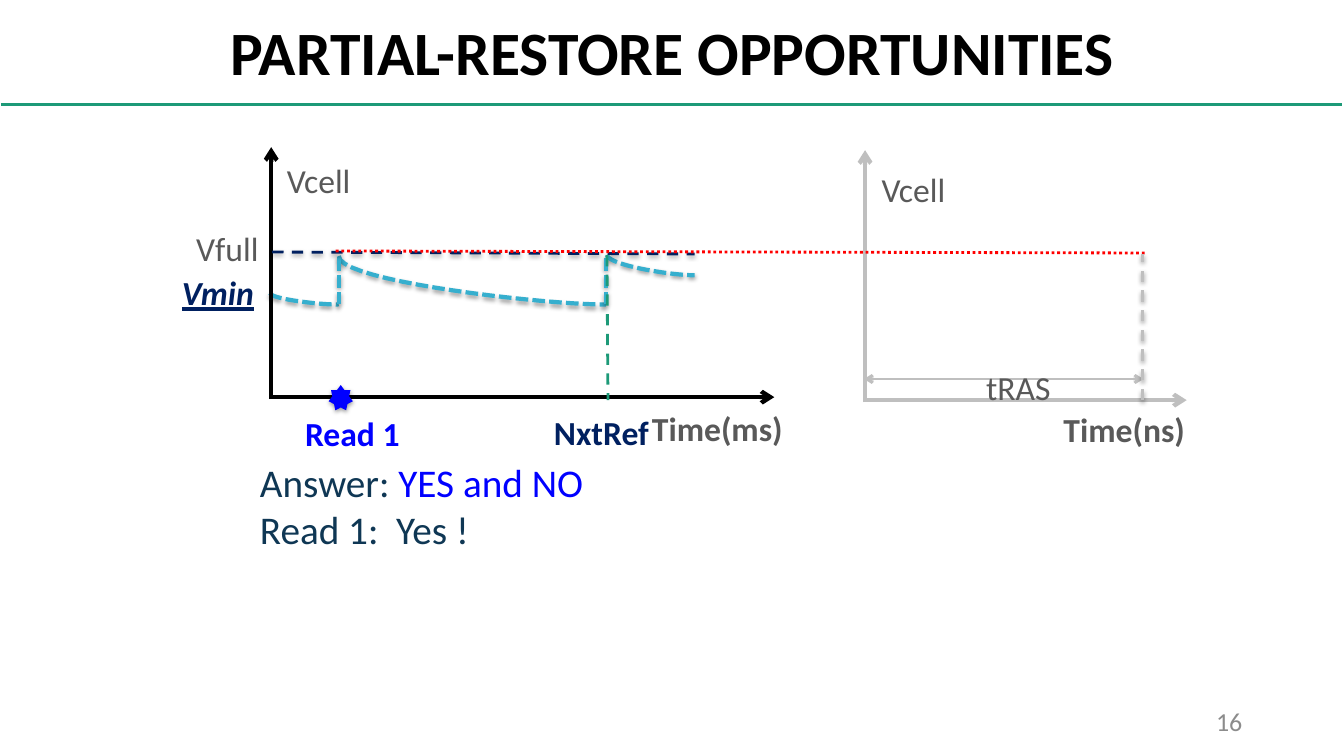
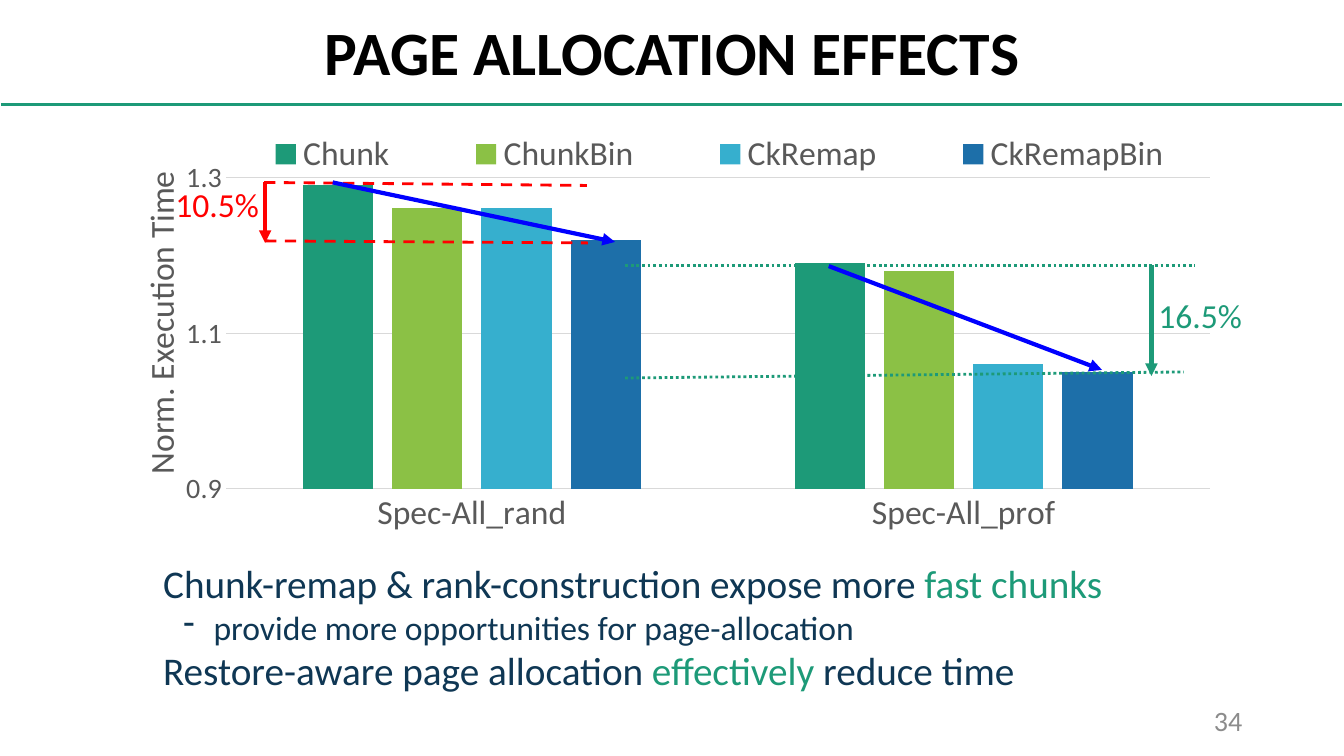
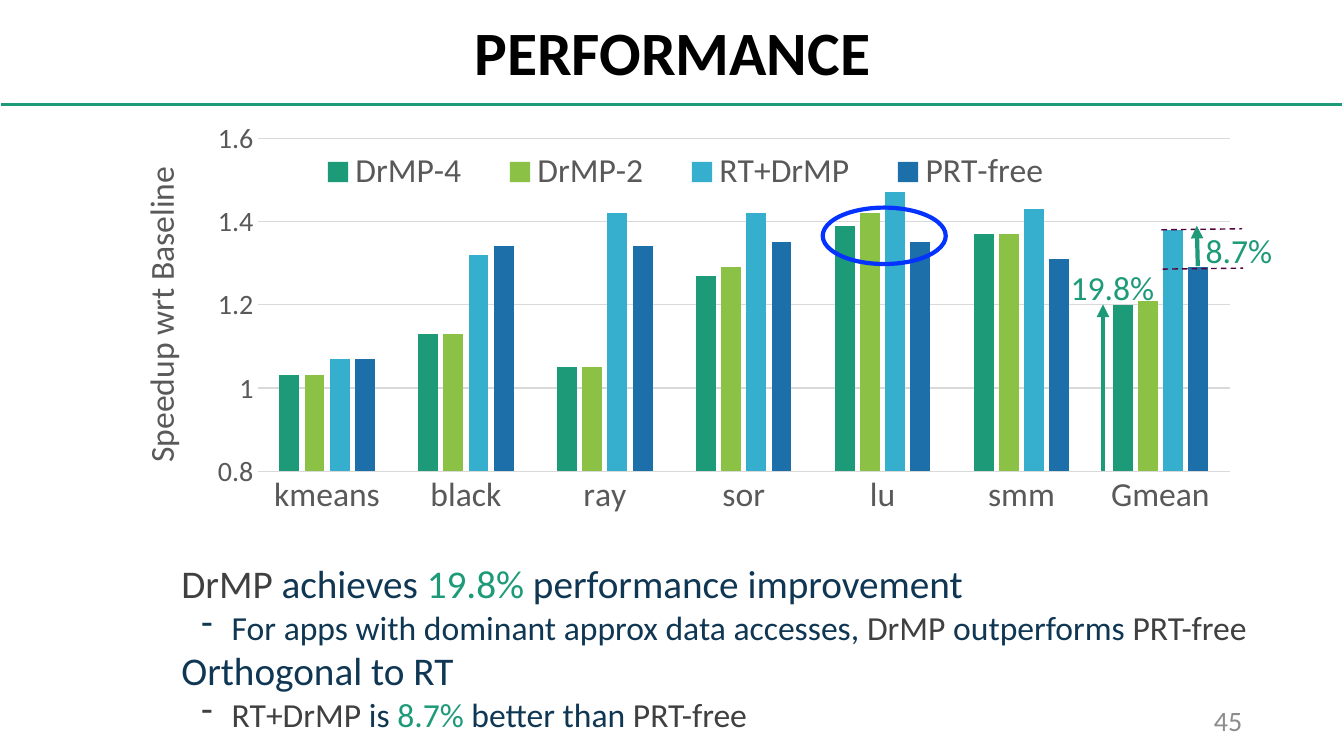
from lxml import etree
from pptx import Presentation
from pptx.chart.data import CategoryChartData
from pptx.dml.color import RGBColor
from pptx.enum.chart import XL_CHART_TYPE, XL_LEGEND_POSITION, XL_TICK_MARK
from pptx.enum.dml import MSO_LINE
from pptx.enum.shapes import MSO_CONNECTOR, MSO_SHAPE
from pptx.enum.text import MSO_ANCHOR, PP_ALIGN
from pptx.oxml.ns import qn
from pptx.util import Inches, Pt

COLUMNS = XL_CHART_TYPE.COLUMN_CLUSTERED
BOTTOM = XL_LEGEND_POSITION.BOTTOM
NO_TICK = XL_TICK_MARK.NONE
DASH, SYS_DASH, SYS_DOT = MSO_LINE.DASH, MSO_LINE.SQUARE_DOT, MSO_LINE.ROUND_DOT
STRAIGHT = MSO_CONNECTOR.STRAIGHT
STAR, ELLIPSE = MSO_SHAPE.STAR_7_POINT, MSO_SHAPE.OVAL
MIDDLE, TOP = MSO_ANCHOR.MIDDLE, MSO_ANCHOR.TOP
LEFT, CENTER, RIGHT = PP_ALIGN.LEFT, PP_ALIGN.CENTER, PP_ALIGN.RIGHT

FONT = "Calibri"
BLACK, GRAY, LIGHT, DARK = "000000", "595959", "BFBFBF", "404040"
GREEN, LIME, SKY, BLUE = "1D9A78", "8BC145", "36AFCE", "1D6FA9"
INK, NAVY, RED, PURE_BLUE = "0F3754", "002060", "FF0000", "0000FF"
GRID, NUMBER, OVAL_BLUE, PLUM = "D9D9D9", "8C8C8C", "0432FF", "53013C"


def rgb(color):
    return RGBColor.from_string(color)


def style_font(font, size, color, bold=False):
    font.name, font.size, font.bold = FONT, Pt(size), bold
    font.color.rgb = rgb(color)


def set_effects(sp, shadow):
    spPr = sp._element.spPr
    for old in spPr.findall(qn("a:effectLst")):
        spPr.remove(old)
    effects = etree.SubElement(spPr, qn("a:effectLst"))
    if shadow:
        outer = etree.SubElement(effects, qn("a:outerShdw"), blurRad=str(Pt(3.1)),
                                 dist=str(Pt(1.6)), dir="5400000", rotWithShape="0")
        black = etree.SubElement(outer, qn("a:srgbClr"), val=BLACK)
        etree.SubElement(black, qn("a:alpha"), val="38000")


def set_layout(parent, index, **values):
    for old in parent.findall(qn("c:layout")):
        parent.remove(old)
    layout = etree.Element(qn("c:layout"))
    manual = etree.SubElement(layout, qn("c:manualLayout"))
    for name, value in values.items():
        etree.SubElement(manual, qn("c:" + name), val=str(value))
    parent.insert(index, layout)


def edge(x, y, w, h):
    return dict(xMode="edge", yMode="edge", x=x, y=y, w=w, h=h)


class Deck:
    def __init__(self):
        self.prs = Presentation()
        self.prs.slide_width, self.prs.slide_height = Inches(13.33), Inches(7.5)

    def start(self, title, number, number_size=20):
        self.s = self.prs.slides.add_slide(self.prs.slide_layouts[5])
        sp = self.s.shapes.title
        sp.left, sp.top, sp.width, sp.height = map(Inches, (0.92, 0.07, 11.5, 0.96))
        tf = sp.text_frame
        tf.vertical_anchor = MIDDLE
        p = tf.paragraphs[0]
        p.alignment, p.line_spacing = CENTER, 0.9
        self.run(p, title, 44, BLACK, True)
        self.line(0.01, 1.04, 13.31, 1.04, GREEN)
        self.label(number, 9.42, 6.95, 3, 0.4, NUMBER, size=number_size,
                   align=RIGHT, anchor=MIDDLE, margin=0.1)

    def run(self, p, text, size, color, bold=False):
        r = p.add_run()
        r.text = text
        style_font(r.font, size, color, bold)
        return r

    def box(self, x, y, w, h, wrap):
        tf = self.s.shapes.add_textbox(*map(Inches, (x, y, w, h))).text_frame
        tf.word_wrap = wrap
        return tf

    def label(self, text, x, y, w, h, color, bold=False, size=24,
              align=CENTER, anchor=TOP, margin=0.1):
        tf = self.box(x, y, w, h, align == RIGHT)
        tf.margin_left = tf.margin_right = Inches(margin)
        tf.vertical_anchor = anchor
        p = tf.paragraphs[0]
        p.alignment = align
        return self.run(p, text, size, color, bold)

    def tag(self, text, x, y, w, h, color=GRAY, bold=False):
        return self.label(text, x, y, w, h, color, bold, anchor=MIDDLE, margin=0)

    def body(self, x, y, w, h, paragraphs):
        tf = self.box(x, y, w, h, True)
        for i, (bulleted, runs) in enumerate(paragraphs):
            p = tf.add_paragraph() if i else tf.paragraphs[0]
            if bulleted:
                pPr = p._p.get_or_add_pPr()
                pPr.set("marL", str(Inches(0.5)))
                pPr.set("indent", str(Inches(-0.3)))
                etree.SubElement(pPr, qn("a:buChar"), char="-")
            for text, color in runs:
                self.run(p, text, 24 if bulleted else 28, color)

    def stroke(self, sp, color, width, dash=None, shadow=False):
        sp.line.color.rgb = rgb(color)
        sp.line.width = Pt(width)
        if dash:
            sp.line.dash_style = dash
        set_effects(sp, shadow)

    def line(self, x1, y1, x2, y2, color, width=2, dash=None, shadow=False,
             head=None, tail=None):
        sp = self.s.shapes.add_connector(STRAIGHT, *map(Inches, (x1, y1, x2, y2)))
        self.stroke(sp, color, width, dash, shadow)
        ln = sp._element.spPr.find(qn("a:ln"))
        for name, kind in (("a:headEnd", head), ("a:tailEnd", tail)):
            if kind:
                etree.SubElement(ln, qn(name), type=kind)

    def arrow(self, x1, y1, x2, y2, color, kind="triangle"):
        self.line(x1, y1, x2, y2, color, 3, tail=kind)

    def curve(self, *controls):
        points = []
        for i in range(21):
            t = i / 20
            weights = ((1 - t) ** 3, 3 * t * (1 - t) ** 2, 3 * t * t * (1 - t), t ** 3)
            points.append(tuple(Inches(sum(k * c[axis] for k, c in zip(weights, controls)))
                                for axis in (0, 1)))
        builder = self.s.shapes.build_freeform(*points[0])
        builder.add_line_segments(points[1:], close=False)
        sp = builder.convert_to_shape()
        sp.fill.background()
        self.stroke(sp, SKY, 3, SYS_DASH, True)

    def shape(self, kind, x, y, w, h, fill=None, line=None, shadow=False):
        sp = self.s.shapes.add_shape(kind, *map(Inches, (x, y, w, h)))
        if fill:
            sp.fill.solid()
            sp.fill.fore_color.rgb = rgb(fill)
        else:
            sp.fill.background()
        if line:
            sp.line.color.rgb = rgb(line)
            sp.line.width = Pt(3)
        else:
            sp.line.fill.background()
        set_effects(sp, shadow)

    def chart(self, cats, series, title, title_y, low, high, plot, legend):
        data = CategoryChartData()
        data.categories = cats
        for name, values in series:
            data.add_series(name, values)
        frame = self.s.shapes.add_chart(COLUMNS, *map(Inches, (1.2, 1.2, 11.2, 4.4)), data)
        chart = frame.chart
        chart.has_title = False
        style_font(chart.font, 24, BLACK)
        bars = chart.plots[0]
        bars.gap_width, bars.overlap, bars.vary_by_categories = 219, -27, False
        for ser, color in zip(bars.series, (GREEN, LIME, SKY, BLUE)):
            ser.format.fill.solid()
            ser.format.fill.fore_color.rgb = rgb(color)
        cat, val = chart.category_axis, chart.value_axis
        for axis, size in ((cat, 24), (val, 20)):
            axis.major_tick_mark = axis.minor_tick_mark = NO_TICK
            style_font(axis.tick_labels.font, size, GRAY)
        val.minimum_scale, val.maximum_scale, val.major_unit = low, high, 0.2
        val.has_major_gridlines = True
        for line in (cat.format.line, val.major_gridlines.format.line):
            line.color.rgb = rgb(GRID)
            line.width = Pt(0.75)
        val.format.line.fill.background()
        tf = val.axis_title.text_frame
        self.run(tf.paragraphs[0], title, 24, GRAY)
        tf._txBody.bodyPr.set("rot", "-5400000")
        tf._txBody.bodyPr.set("vert", "horz")
        set_layout(val.axis_title._element, 1, xMode="edge", yMode="edge", x=0.01, y=title_y)
        chart.has_legend = True
        chart.legend.position = BOTTOM
        chart.legend.include_in_layout = False
        style_font(chart.legend.font, 24, GRAY)
        set_layout(chart.legend._element, 1, **edge(*legend))
        set_layout(chart._chartSpace.chart.plotArea, 0, layoutTarget="inner", **edge(*plot))


def restore_slide(d):
    d.start("PARTIAL-RESTORE OPPORTUNITIES", "16", 18.5)
    d.curve((3.36, 2.54), (3.36, 2.8), (5.5, 3.03), (6.01, 3.02))
    d.curve((2.68, 2.91), (2.69, 2.97), (3.23, 3.03), (3.36, 3.02))
    d.curve((6.02, 2.53), (6.04, 2.64), (6.73, 2.74), (6.89, 2.73))
    for x in (3.36, 6.01):
        d.line(x, 3.02, x, 2.54, SKY, 3, SYS_DASH, True)
    vmin = d.tag("Vmin", 1.67, 2.73, 0.98, 0.34, NAVY, True)
    vmin.font.italic = vmin.font.underline = True
    d.tag("Vfull", 1.84, 2.31, 0.83, 0.3)
    for x, base, width, color in ((2.69, 3.94, 5, BLACK), (8.58, 3.97, 3.2, LIGHT)):
        d.arrow(x, base + 0.02, x, base - 2.48, color, "arrow")
        d.arrow(x - 0.01, base, x - 0.01 + width, base, color, "arrow")
    d.line(2.7, 2.5, 6.89, 2.52, NAVY, dash=DASH, shadow=True)
    d.shape(STAR, 3.26, 3.82, 0.24, 0.25, fill=PURE_BLUE, shadow=True)
    d.label("Read 1", 2.86, 4.05, 1.27, 0.5, PURE_BLUE, True)
    d.line(6.02, 2.53, 6.03, 3.97, GREEN, dash=DASH)
    d.label("NxtRef", 5.38, 4.04, 1.17, 0.5, NAVY, True)
    d.body(2.48, 4.5, 8.45, 1.77, [
        (False, [("Answer: ", INK), ("YES and NO", PURE_BLUE)]),
        (False, [("Read 1:  Yes !", INK)])])
    d.line(3.33, 2.49, 11.37, 2.51, RED, dash=SYS_DOT)
    d.line(8.57, 3.76, 11.34, 3.76, LIGHT, head="arrow", tail="arrow")
    d.tag("tRAS", 9.56, 3.71, 1.08, 0.27)
    d.line(11.33, 3.97, 11.33, 2.52, LIGHT, dash=DASH, shadow=True)
    d.tag("Vcell", 2.72, 1.61, 0.88, 0.36)
    d.label("Time(ms)", 6.23, 4, 1.77, 0.52, GRAY, True)
    d.label("Time(ns)", 10.44, 4.01, 1.42, 0.5, GRAY, True)
    d.tag("Vcell", 8.62, 1.69, 0.88, 0.37)


def allocation_slide(d):
    d.start("PAGE ALLOCATION EFFECTS", "34")
    d.chart(("Spec-All_rand", "Spec-All_prof"),
            (("Chunk", (1.29, 1.19)), ("ChunkBin", (1.26, 1.18)),
             ("CkRemap", (1.26, 1.06)), ("CkRemapBin", (1.22, 1.05))),
            "Norm. Execution Time", 0.1, 0.9, 1.35,
            (0.093, 0.039, 0.871, 0.791), (0.07, 0.02, 0.92, 0.11))
    d.body(1.52, 5.5, 10.42, 1.45, [
        (False, [("Chunk-remap & rank-construction expose more ", INK), ("fast chunks", GREEN)]),
        (True, [("provide more opportunities for page-allocation", INK)]),
        (False, [("Restore-aware page allocation ", INK), ("effectively", GREEN),
                 (" reduce time", INK)])])
    d.line(2.62, 1.81, 5.82, 1.84, RED, dash=DASH)
    d.line(2.63, 2.39, 5.83, 2.41, RED, dash=DASH)
    d.arrow(2.63, 1.81, 2.63, 2.41, RED)
    d.label("10.5%", 1.64, 1.78, 1.04, 0.5, RED, align=LEFT)
    d.line(6.2, 2.63, 11.85, 2.63, GREEN, dash=SYS_DOT)
    d.line(6.2, 3.75, 11.74, 3.69, GREEN, dash=SYS_DOT)
    d.arrow(11.42, 2.63, 11.42, 3.73, GREEN)
    d.label("16.5%", 11.39, 2.88, 1.04, 0.5, GREEN, align=LEFT)
    d.arrow(3.3, 1.81, 6.1, 2.4, PURE_BLUE)
    d.arrow(8.22, 2.64, 10.93, 3.67, PURE_BLUE)


def performance_slide(d):
    d.start("PERFORMANCE", "45")
    d.body(1.7, 5.5, 10.98, 1.87, [
        (False, [("DrMP", DARK), (" achieves ", INK), ("19.8%", GREEN),
                 (" performance improvement", INK)]),
        (True, [("For apps with dominant approx data accesses, ", INK), ("DrMP", DARK),
                (" outperforms ", INK), ("PRT-free", DARK)]),
        (False, [("Orthogonal to RT", INK)]),
        (True, [("RT+DrMP", DARK), (" is ", INK), ("8.7%", GREEN),
                (" better than ", INK), ("PRT-free", DARK)])])
    d.chart(("kmeans", "black", "ray", "sor", "lu", "smm", "Gmean"),
            (("DrMP-4", (1.03, 1.13, 1.05, 1.27, 1.39, 1.37, 1.2)),
             ("DrMP-2", (1.03, 1.13, 1.05, 1.29, 1.42, 1.37, 1.21)),
             ("RT+DrMP", (1.07, 1.32, 1.42, 1.42, 1.47, 1.43, 1.38)),
             ("PRT-free", (1.07, 1.34, 1.34, 1.35, 1.35, 1.31, 1.29))),
            "Speedup wrt Baseline", 0.09, 0.8, 1.6,
            (0.121, 0.039, 0.861, 0.751), (0.15, 0.06, 0.7, 0.11))
    d.arrow(10.94, 4.67, 10.94, 3.02, GREEN)
    d.label("19.8%", 10.52, 2.6, 1.04, 0.5, GREEN, align=LEFT)
    d.shape(ELLIPSE, 8.16, 2.06, 1.22, 0.56, line=OVAL_BLUE)
    d.line(11.53, 2.67, 12.33, 2.66, PLUM, 1, DASH)
    d.line(11.52, 2.28, 12.32, 2.27, PLUM, 1, DASH)
    d.arrow(11.88, 2.64, 11.87, 2.24, GREEN)
    d.label("8.7%", 11.86, 2.23, 0.87, 0.5, GREEN, align=LEFT)


def main():
    d = Deck()
    restore_slide(d)
    allocation_slide(d)
    performance_slide(d)
    d.prs.save("out.pptx")


if __name__ == "__main__":
    main()
